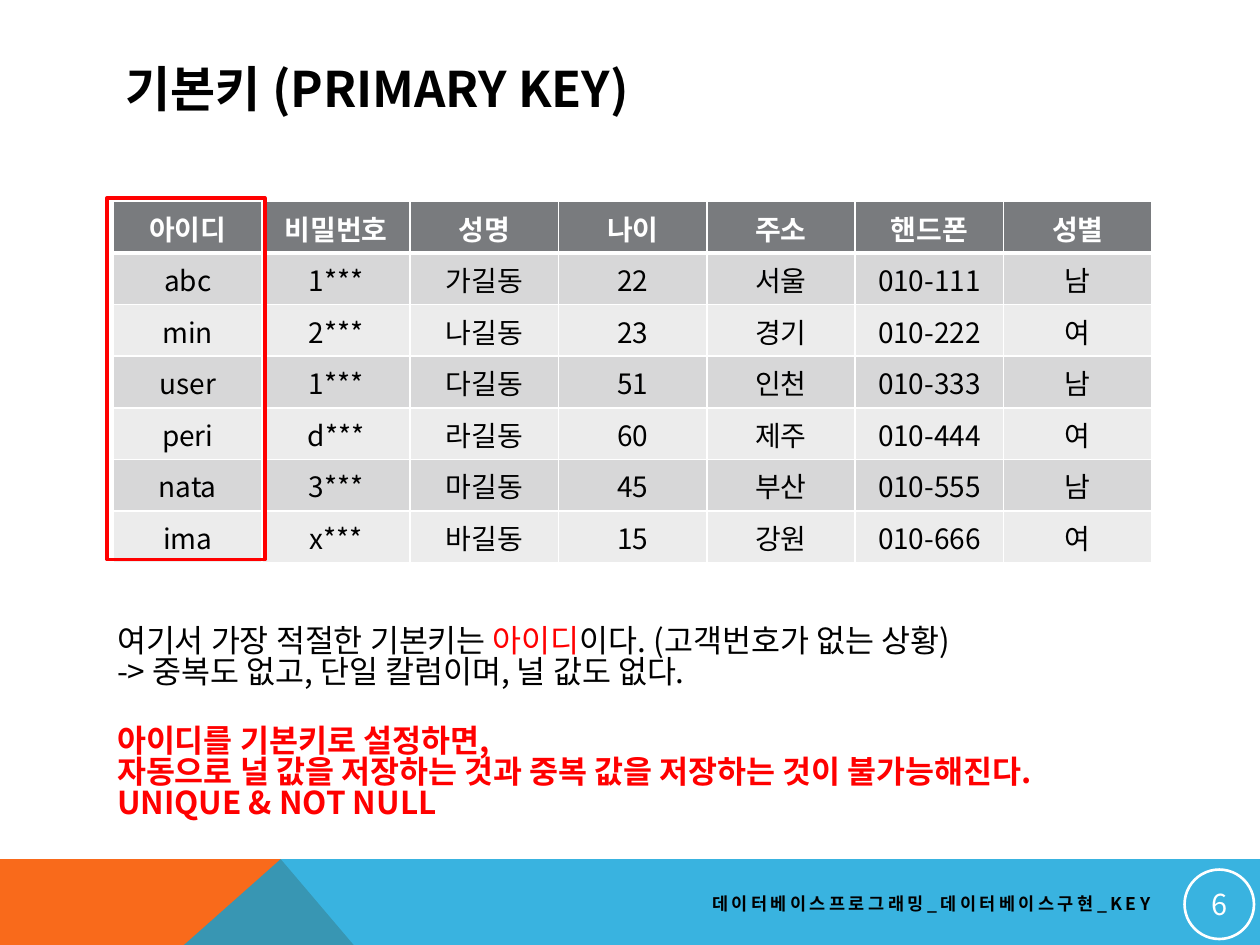
from lxml.etree import SubElement
from pptx import Presentation
from pptx.dml.color import RGBColor
from pptx.enum.shapes import MSO_SHAPE as Preset
from pptx.enum.text import MSO_ANCHOR as Anchor, PP_ALIGN as Align
from pptx.oxml.ns import qn
from pptx.util import Cm, Pt

BLACK = RGBColor(0, 0, 0)
WHITE = RGBColor(255, 255, 255)
RED = RGBColor(255, 0, 0)
ORANGE = RGBColor(0xF9, 0x6A, 0x1B)
BLUE = RGBColor(0x08, 0xA1, 0xD9)
HEADER_GRAY = RGBColor(0x79, 0x7B, 0x7E)
BAND_GRAYS = (RGBColor(0xEC, 0xEC, 0xEC), RGBColor(0xD7, 0xD7, 0xD8))


class KeySlide:
    font = "Noto Sans CJK KR"

    def __init__(self, deck):
        self.slide = deck.slides.add_slide(deck.slide_layouts[6])
        self.shapes = self.slide.shapes

    def add_words(self, paragraph, words, size, color, bold=False, spacing=0):
        run = paragraph.add_run()
        run.text = words
        formats = {"name": self.font, "size": Pt(size), "bold": bold}
        for attribute, value in formats.items():
            setattr(run.font, attribute, value)
        run.font.color.rgb = color
        properties = run.font._element
        SubElement(properties, qn("a:ea")).set("typeface", self.font)
        if spacing:
            properties.set("spc", str(spacing * 100))

    def text(self, box, lines, size, bold=False, align=Align.LEFT,
             anchor=Anchor.TOP, leading=None, spacing=0):
        frame = self.shapes.add_textbox(*map(Cm, box)).text_frame
        frame.word_wrap = True
        frame.vertical_anchor = anchor
        for number, line in enumerate(lines):
            paragraph = frame.add_paragraph() if number else frame.paragraphs[0]
            paragraph.alignment = align
            paragraph.line_spacing = leading
            for words, color in line:
                self.add_words(paragraph, words, size, color, bold, spacing)

    def polygon(self, points, color, opacity=100):
        start, *rest = [(Cm(x), Cm(y)) for x, y in points]
        builder = self.shapes.build_freeform(*start)
        builder.add_line_segments(rest)
        band = builder.convert_to_shape()
        band.shadow.inherit = False
        band.line.fill.background()
        band.fill.solid()
        band.fill.fore_color.rgb = color
        if opacity < 100:
            tint = band._element.spPr.find(".//" + qn("a:srgbClr"))
            SubElement(tint, qn("a:alpha")).set("val", str(opacity * 1000))

    def outline(self, preset, box, color, width):
        frame = self.shapes.add_shape(preset, *map(Cm, box))
        frame.shadow.inherit = False
        frame.fill.background()
        frame.line.color.rgb = color
        frame.line.width = Pt(width)
        return frame

    def badge(self, box, number):
        frame = self.outline(Preset.OVAL, box, WHITE, 1.5).text_frame
        for side in ("left", "top", "right", "bottom"):
            setattr(frame, f"margin_{side}", Cm(0.03))
        frame.vertical_anchor = Anchor.MIDDLE
        frame.paragraphs[0].alignment = Align.CENTER
        self.add_words(frame.paragraphs[0], number, 16.5, WHITE)

    def border(self, cell, widths):
        properties = cell._tc.get_or_add_tcPr()
        for side, width in widths.items():
            line = SubElement(properties, qn(f"a:ln{side}"), w=str(Pt(width)))
            fill = SubElement(line, qn("a:solidFill"))
            SubElement(fill, qn("a:srgbClr"), val=str(WHITE))

    def table(self, left, top, column_width, row_height, records):
        rows, columns = len(records), len(records[0])
        grid = self.shapes.add_table(
            rows, columns, Cm(left), Cm(top),
            Cm(column_width * columns), Cm(row_height * rows)).table
        for column in grid.columns:
            column.width = Cm(column_width)
        for r, record in enumerate(records):
            grid.rows[r].height = Cm(row_height)
            header = r == 0
            for c, words in enumerate(record):
                cell = grid.cell(r, c)
                self.border(cell, {"L": 1, "R": 1, "T": 3 if r == 1 else 1,
                                   "B": 3 if header else 1})
                cell.fill.solid()
                cell.fill.fore_color.rgb = HEADER_GRAY if header else BAND_GRAYS[r % 2]
                paragraph = cell.text_frame.paragraphs[0]
                paragraph.alignment = Align.CENTER
                self.add_words(paragraph, words, 16, WHITE if header else BLACK, header)


MEMBERS = [
    ("아이디", "비밀번호", "성명", "나이", "주소", "핸드폰", "성별"),
    ("abc", "1***", "가길동", "22", "서울", "010-111", "남"),
    ("min", "2***", "나길동", "23", "경기", "010-222", "여"),
    ("user", "1***", "다길동", "51", "인천", "010-333", "남"),
    ("peri", "d***", "라길동", "60", "제주", "010-444", "여"),
    ("nata", "3***", "마길동", "45", "부산", "010-555", "남"),
    ("ima", "x***", "바길동", "15", "강원", "010-666", "여"),
]
REASON = [
    [("여기서 가장 적절한 기본키는 ", BLACK), ("아이디", RED),
     ("이다. (고객번호가 없는 상황)", BLACK)],
    [("-> 중복도 없고, 단일 칼럼이며, 널 값도 없다.", BLACK)],
]
EFFECT = [
    [("아이디를 기본키로 설정하면,", RED)],
    [("자동으로 널 값을 저장하는 것과 중복 값을 저장하는 것이 불가능해진다.", RED)],
    [("UNIQUE & NOT NULL", RED)],
]
WIDTH, HEIGHT = 25.4, 19.05
BAND_TOP, PEAK = 17.32, 5.66


def main():
    deck = Presentation()
    deck.slide_width, deck.slide_height = Cm(WIDTH), Cm(HEIGHT)
    page = KeySlide(deck)
    page.polygon([(0, HEIGHT), (0, BAND_TOP), (PEAK, BAND_TOP), (7.13, HEIGHT)], ORANGE)
    page.polygon([(3.71, HEIGHT), (PEAK, BAND_TOP), (WIDTH, BAND_TOP),
                  (WIDTH, HEIGHT)], BLUE, opacity=80)
    page.text((2.29, 1.02, 20.88, 1.52), [[("기본키 (PRIMARY KEY)", BLACK)]], 28,
              bold=True, anchor=Anchor.MIDDLE)
    page.table(2.29, 4.06, 2.99, 1.04, MEMBERS)
    page.text((10.31, 17.83, 13.13, 0.76),
              [[("데이터베이스프로그래밍_데이터베이스구현_KEY", BLACK)]], 10,
              bold=True, align=Align.RIGHT, anchor=Anchor.MIDDLE, spacing=2)
    page.badge((23.88, 17.53, 1.4, 1.4), "6")
    page.outline(Preset.RECTANGLE, (2.16, 3.99, 3.18, 7.29), RED, 2)
    page.text((2.11, 12.52, 21.31, 1.8), REASON, 18, leading=0.83)
    page.text((2.11, 14.53, 21.31, 2.57), EFFECT, 18, bold=True, leading=0.83)
    deck.save("out.pptx")


if __name__ == "__main__":
    main()
